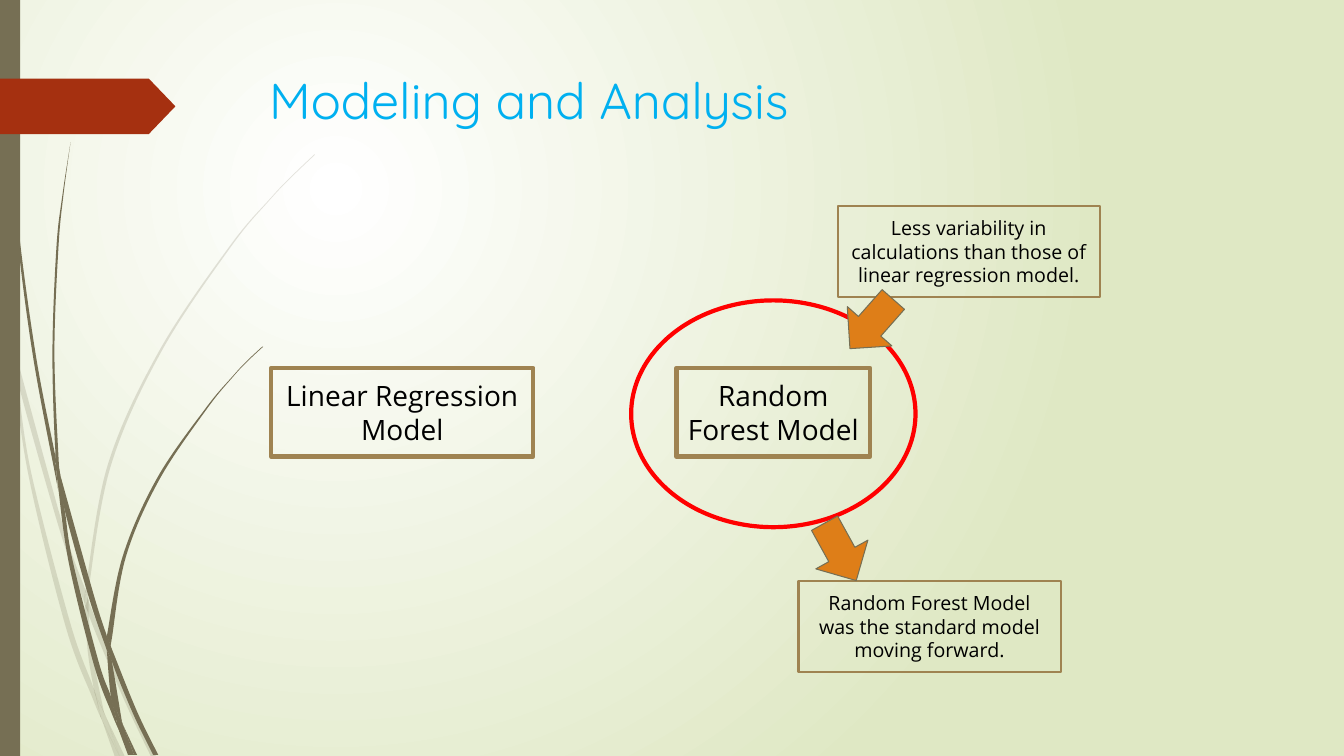
from lxml import etree
from pptx import Presentation
from pptx.dml.color import RGBColor
from pptx.enum.shapes import MSO_SHAPE
from pptx.enum.text import MSO_ANCHOR, PP_ALIGN
from pptx.oxml.ns import qn
from pptx.util import Inches, Pt

RECTANGLE = MSO_SHAPE.RECTANGLE
ELLIPSE = MSO_SHAPE.OVAL
ARROW = MSO_SHAPE.RIGHT_ARROW
RIBBON = MSO_SHAPE.PENTAGON
LEFT, CENTER = PP_ALIGN.LEFT, PP_ALIGN.CENTER
TOP, MIDDLE = MSO_ANCHOR.TOP, MSO_ANCHOR.MIDDLE

BARK, RUST, ORANGE, TAN = "766F54", "A53010", "DE7E18", "9F8351"
TITLE_FONT, BODY_FONT = "Quicksand", "Open Sans"

PALE_BLADES = [
    ([(0.11, 3.5), (0.09, 3.22), (0, 2.82)], [(0, 2.99), (0.1, 3.44), (0.11, 3.5)]),
    ([(0.14, 3.45), (0.17, 3.76), (0.58, 5.22), (0.84, 5.99)],
     [(0.85, 5.86), (0.62, 5.2), (0.14, 3.45)]),
    ([(0.88, 5.96), (0.88, 6.1), (1.23, 6.94), (1.5, 7.51)],
     [(1.55, 7.51), (1.27, 6.92), (0.92, 6.07), (0.88, 5.96)]),
    ([(1.05, 7.11), (1.19, 7.51)], [(1.24, 7.51), (1.05, 7.11)]),
    ([(0.11, 3.5), (0.28, 4.7), (0.65, 6.21), (0.92, 6.93), (1.01, 7.14)],
     [(0.99, 7.07), (0.93, 6.83), (0.7, 6.19), (0.31, 4.69), (0.17, 3.76), (0.11, 3.5)]),
    ([(0.84, 5.99), (0.87, 6.46), (0.93, 6.83), (0.96, 6.92), (1.05, 7.11)],
     [(1.03, 7.06), (0.91, 6.46), (0.88, 6.1), (0.84, 5.99)]),
    ([(3.12, 1.53), (2.89, 1.75), (2.68, 1.97), (2.28, 2.44), (1.58, 3.48),
      (1.07, 4.61), (0.85, 5.84), (0.85, 5.86)],
     [(0.88, 5.96), (0.88, 5.84), (1.1, 4.62), (1.6, 3.49), (2.29, 2.45),
      (2.68, 1.98), (2.9, 1.75), (3.12, 1.54)]),
    ([(1.01, 7.14), (1.14, 7.51)], [(1.19, 7.51), (1.01, 7.14)]),
    ([(0.88, 6.1), (0.88, 5.96)], [(0.85, 5.86), (0.84, 5.99), (0.88, 6.08)]),
    ([(0.93, 6.83), (0.99, 7.07), (1.01, 7.14), (1.19, 7.51)],
     [(1.19, 7.51), (1.05, 7.11), (0.96, 6.92), (0.93, 6.83)]),
]
DARK_BLADES = [
    ([(0.03, 0), (0.04, 0.48), (0.07, 1.1), (0.17, 2.33), (0.33, 3.55),
      (0.56, 4.77), (0.57, 4.81)],
     [(0.55, 4.57), (0.55, 4.53), (0.36, 3.55), (0.19, 2.32), (0.08, 1.09),
      (0.05, 0.48), (0.04, 0)]),
    ([(0.6, 4.72), (0.64, 5.05), (0.88, 5.92), (1.06, 6.45)],
     [(1.06, 6.33), (1.06, 6.31), (0.93, 5.9), (0.6, 4.72)]),
    ([(1.1, 6.41), (1.11, 6.56), (1.32, 7.08), (1.52, 7.49)],
     [(1.57, 7.49), (1.36, 7.06), (1.13, 6.49), (1.1, 6.41)]),
    ([(0.57, 4.77), (0.68, 5.57), (0.93, 6.59), (1.11, 7.08), (1.17, 7.22)],
     [(1.16, 7.17), (1.1, 6.91), (0.98, 6.57), (0.72, 5.56), (0.64, 5.05), (0.57, 4.77)]),
    ([(0.7, 1.41), (0.62, 1.93), (0.56, 2.45), (0.52, 3.49), (0.55, 4.49), (0.6, 4.72)],
     [(0.6, 4.72), (0.58, 4.53), (0.54, 3.49), (0.58, 2.45), (0.63, 1.93), (0.7, 1.41)]),
    ([(1.22, 7.19), (1.33, 7.49)], [(1.36, 7.49), (1.22, 7.19)]),
    ([(0.55, 4.49), (0.55, 4.53), (0.57, 4.77), (0.64, 5.05)],
     [(0.64, 5.05), (0.6, 4.72), (0.55, 4.49)]),
    ([(2.6, 3.44), (2.45, 3.58), (2.31, 3.73), (2.04, 4.05), (1.56, 4.74),
      (1.22, 5.51), (1.06, 6.31)],
     [(1.1, 6.41), (1.11, 6.33), (1.25, 5.52), (1.58, 4.76), (2.05, 4.06),
      (2.31, 3.74), (2.45, 3.59), (2.61, 3.44)]),
    ([(1.17, 7.22), (1.27, 7.49)], [(1.31, 7.49), (1.17, 7.22)]),
    ([(1.06, 6.45), (1.1, 6.91), (1.16, 7.06), (1.22, 7.19)],
     [(1.21, 7.16), (1.11, 6.56), (1.09, 6.51), (1.06, 6.45)]),
    ([(1.06, 6.45), (1.09, 6.51), (1.11, 6.56)], [(1.1, 6.41), (1.06, 6.31), (1.06, 6.45)]),
    ([(1.1, 6.91), (1.16, 7.17), (1.17, 7.22), (1.3, 7.49)],
     [(1.33, 7.49), (1.22, 7.19), (1.16, 7.06), (1.1, 6.91)]),
]


def color(hex_string):
    """Turn a hex string into a colour."""
    return RGBColor.from_string(hex_string)


def paint(shape, fill=None, line=None, width=0):
    """Set the fill and outline of a shape and remove its shadow."""
    shape.shadow.inherit = False
    if fill:
        shape.fill.solid()
        shape.fill.fore_color.rgb = color(fill)
    else:
        shape.fill.background()
    if line:
        shape.line.color.rgb = color(line)
        shape.line.width = Pt(width)
    else:
        shape.line.fill.background()


def write(shape, text, font, size, ink="000000", align=CENTER, anchor=MIDDLE):
    """Put formatted text into a shape."""
    frame = shape.text_frame
    frame.word_wrap = True
    frame.vertical_anchor = anchor
    frame.margin_left = frame.margin_right = Inches(0.1)
    frame.margin_top = frame.margin_bottom = Inches(0.05)
    paragraph = frame.paragraphs[0]
    paragraph.alignment = align
    run = paragraph.add_run()
    run.text = text
    run.font.name = font
    run.font.size = Pt(size)
    run.font.color.rgb = color(ink)


def add_preset(slide, kind, box, rotation=0, **style):
    """Add a preset shape at left, top, width, height in inches."""
    shape = slide.shapes.add_shape(kind, *map(Inches, box))
    shape.rotation = rotation
    paint(shape, **style)
    return shape


def add_text_box(slide, box, text, size, width):
    """Add an outlined rectangle with centred text."""
    shape = add_preset(slide, RECTANGLE, box, line=TAN, width=width)
    write(shape, text, BODY_FONT, size)


def curve_points(edge):
    """Return two control points and an end for each part of a smooth edge."""
    padded = [edge[0], *edge, edge[-1]]
    return [((b[0] + (c[0] - a[0]) / 6, b[1] + (c[1] - a[1]) / 6),
             (c[0] - (d[0] - b[0]) / 6, c[1] - (d[1] - b[1]) / 6), c)
            for a, b, c, d in zip(padded, padded[1:], padded[2:], padded[3:])]


def add_blade(slide, edges, opacity=100):
    """Add a piece of grass bounded by two curved edges."""
    corners = [tuple(map(Inches, point)) for edge in edges for point in edge]
    builder = slide.shapes.build_freeform(*corners[0])
    builder.add_line_segments(corners[1:], close=True)
    blade = builder.convert_to_shape()
    paint(blade, fill=BARK)
    segments = [*curve_points(edges[0]), None, *curve_points(edges[1])]
    for line, segment in zip(list(blade.element.iter(qn("a:lnTo"))), segments):
        if segment:
            curve = etree.Element(qn("a:cubicBezTo"))
            for x, y in segment:
                etree.SubElement(curve, qn("a:pt"), x=str(Inches(x) - blade.left),
                                 y=str(Inches(y) - blade.top))
            line.getparent().replace(line, curve)
    if opacity < 100:
        tint = blade.element.spPr.find(qn("a:solidFill")).find(qn("a:srgbClr"))
        etree.SubElement(tint, qn("a:alpha"), val=str(opacity * 1000))


def set_background(slide):
    """Fill the background with a circular gradient."""
    fill = slide.background.fill
    fill.gradient()
    for stop, tint, position in zip(fill.gradient_stops, ("FFFFFF", "DFE8C4"), (0, 1)):
        stop.color.rgb = color(tint)
        stop.position = position
    gradient = next(slide.element.iter(qn("a:gradFill")))
    gradient.remove(gradient.find(qn("a:lin")))
    circle = etree.SubElement(gradient, qn("a:path"), path="circle")
    etree.SubElement(circle, qn("a:fillToRect"), l="50000", t="50000", r="100000", b="100000")


def add_decoration(slide):
    """Add the grass, the side strip and the ribbon."""
    for edges in PALE_BLADES:
        add_blade(slide, edges, opacity=20)
    for edges in DARK_BLADES:
        add_blade(slide, edges)
    add_preset(slide, RECTANGLE, (0, 0, 0.2, 7.5), fill=BARK)
    ribbon = add_preset(slide, RIBBON, (0, 0.78, 1.74, 0.55), fill=RUST)
    ribbon.adjustments[0] = 0.48


def set_title(slide, text):
    """Place and format the title."""
    title = slide.shapes.title
    title.left, title.top, title.width, title.height = map(Inches, (2.57, 0.64, 9.75, 1.4))
    write(title, text, TITLE_FONT, 36, ink="00B0F0", align=LEFT, anchor=TOP)


def main():
    """Build the slide and save it."""
    presentation = Presentation()
    presentation.slide_width, presentation.slide_height = Inches(13.33), Inches(7.5)
    slide = presentation.slides.add_slide(presentation.slide_layouts[5])
    set_background(slide)
    add_decoration(slide)
    set_title(slide, "Modeling and Analysis")
    add_text_box(slide, (2.69, 3.65, 2.6, 0.88), "Linear Regression Model", 20, 3)
    add_text_box(slide, (6.71, 3.65, 1.92, 0.88), "Random Forest Model", 20, 3)
    add_preset(slide, ELLIPSE, (6.26, 2.98, 2.82, 2.25), line="FF0000", width=3)
    callouts = [
        ((8.31, 2.04), "Less variability in calculations than those of linear regression model.",
         (8.32, 2.92), 131.4),
        ((7.92, 5.76), "Random Forest Model was the standard model moving forward.",
         (8.01, 5.18), 61.1)]
    for corner, text, arrow_corner, angle in callouts:
        add_text_box(slide, (*corner, 2.6, 0.91), text, 14, 1.5)
        add_preset(slide, ARROW, (*arrow_corner, 0.65, 0.59), angle,
                   fill=ORANGE, line=BARK, width=0.75)
    presentation.save("out.pptx")


if __name__ == "__main__":
    main()
